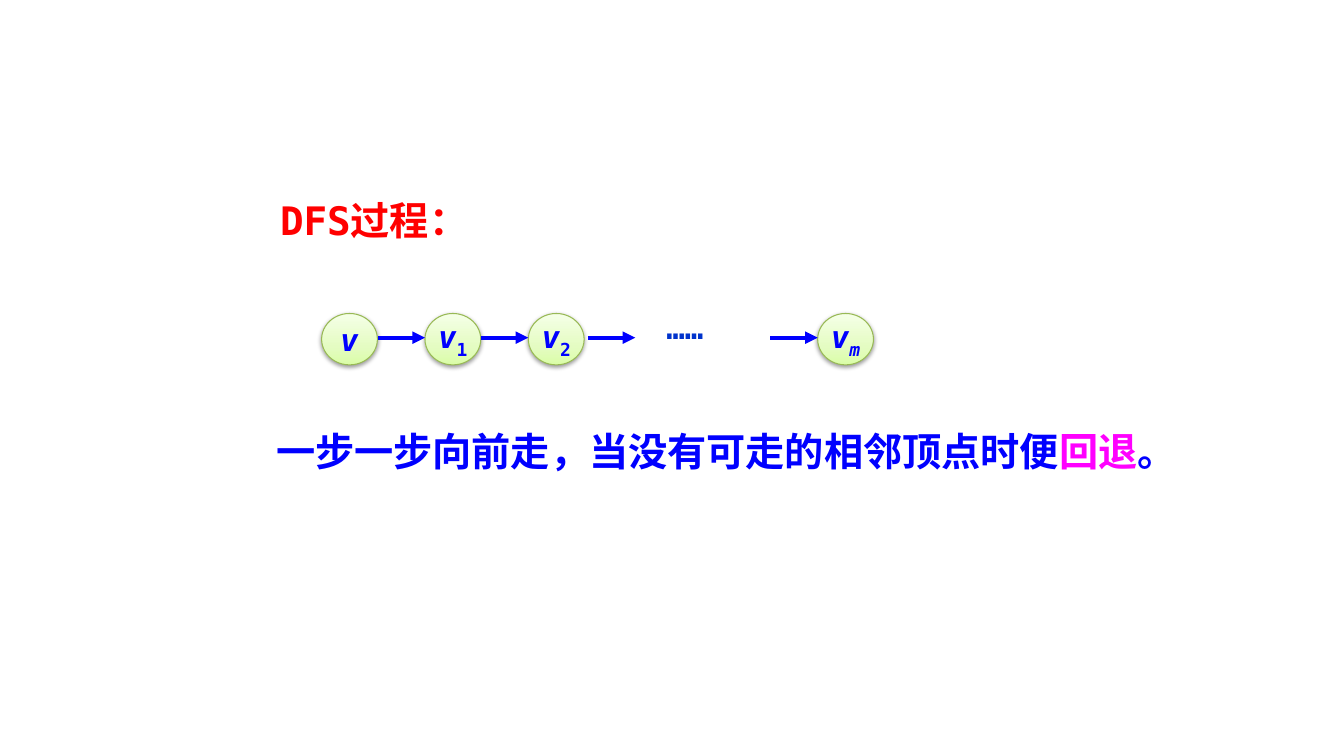
from dataclasses import dataclass

from lxml.etree import SubElement
from pptx import Presentation
from pptx.dml.color import RGBColor
from pptx.enum.shapes import MSO_CONNECTOR, MSO_SHAPE
from pptx.enum.text import MSO_ANCHOR, MSO_AUTO_SIZE, PP_ALIGN
from pptx.oxml.ns import qn
from pptx.slide import Slide
from pptx.text.text import TextFrame
from pptx.util import Inches, Pt

WIDE, HIGH = Inches(13.33), Inches(7.5)
FONT = "DejaVu Sans Mono"
HUES = {
    "red": "FF0000",
    "blue": "0000FF",
    "navy": "0033CC",
    "pink": "FF00FF",
    "rim": "98B955",
    "shade": "000000",
}
GLOW = ((0, "DAFDA7"), (35, "E4FCC2"), (100, "F5FFE7"))

NODE_TOP, NODE_WIDE, NODE_HIGH = 41.47, 4.15, 6.8
FIRST, STEP, LAST = 23.93, 7.69, 60.84
LINE_ROW, LINE_LONG, LOOSE = 44.67, 3.53, 43.74


@dataclass(frozen=True)
class Word:
    text: str
    hue: str = "blue"
    slant: bool = False
    drop: bool = False


@dataclass(frozen=True)
class Note:
    col: float
    row: float
    wide: float
    high: float
    size: int
    words: tuple[Word, ...]


@dataclass(frozen=True)
class Node:
    col: float
    words: tuple[Word, ...]


V = Word("v", slant=True)
NODES = (
    Node(FIRST, (V,)),
    Node(FIRST + STEP, (V, Word("1", drop=True))),
    Node(FIRST + 2 * STEP, (V, Word("2", drop=True))),
    Node(LAST, (V, Word("m", slant=True, drop=True))),
)
NOTES = (
    Note(20.1, 25.33, 15.9, 7.6, 28, (Word("DFS过程：", "red"),)),
    Note(48.84, 40.13, 7.05, 6.27, 22, (Word("……", "navy"),)),
    Note(19.8, 55.87, 68.19, 7.6, 28, (
        Word("一步一步向前走，当没有可走的相邻顶点时便"),
        Word("回退", "pink"),
        Word("。"),
    )),
)


def across(share: float) -> int:
    return round(WIDE * share / 100)


def down(share: float) -> int:
    return round(HIGH * share / 100)


def tint(name: str) -> RGBColor:
    return RGBColor.from_string(HUES[name])


def write(frame: TextFrame, words: tuple[Word, ...], size: int) -> None:
    line = frame.paragraphs[0]
    for word in words:
        run = line.add_run()
        run.text = word.text
        font = run.font
        font.name, font.size = FONT, Pt(size)
        font.bold, font.italic = True, word.slant
        font.color.rgb = tint(word.hue)
        if word.drop:
            run._r.get_or_add_rPr().set("baseline", "-25000")


def draw_note(slide: Slide, note: Note) -> None:
    box = slide.shapes.add_textbox(
        across(note.col), down(note.row), across(note.wide), down(note.high))
    frame = box.text_frame
    frame.word_wrap = True
    frame.auto_size = MSO_AUTO_SIZE.SHAPE_TO_FIT_TEXT
    write(frame, note.words, note.size)


def draw_node(slide: Slide, node: Node) -> None:
    disc = slide.shapes.add_shape(
        MSO_SHAPE.OVAL, across(node.col), down(NODE_TOP),
        across(NODE_WIDE), down(NODE_HIGH))
    disc.fill.gradient()
    disc.fill.gradient_angle = 90
    props = disc._element.spPr
    stops = props.find(qn("a:gradFill")).find(qn("a:gsLst"))
    for old in list(stops):
        stops.remove(old)
    for place, code in GLOW:
        stop = SubElement(stops, qn("a:gs"), pos=str(place * 1000))
        SubElement(stop, qn("a:srgbClr"), val=code)
    disc.line.color.rgb = tint("rim")
    disc.line.width = Pt(0.75)
    disc.shadow.inherit = False
    shade = SubElement(
        props.find(qn("a:effectLst")), qn("a:outerShdw"),
        blurRad=str(int(Pt(3.1))), dist=str(int(Pt(1.6))),
        dir="5400000", rotWithShape="0")
    ink = SubElement(shade, qn("a:srgbClr"), val=HUES["shade"])
    SubElement(ink, qn("a:alpha"), val="38000")
    frame = disc.text_frame
    frame.word_wrap = False
    frame.vertical_anchor = MSO_ANCHOR.MIDDLE
    frame.paragraphs[0].alignment = PP_ALIGN.CENTER
    write(frame, node.words, 22)


def draw_arrow(slide: Slide, start: float) -> None:
    row = down(LINE_ROW)
    arrow = slide.shapes.add_connector(
        MSO_CONNECTOR.STRAIGHT, across(start), row, across(start + LINE_LONG), row)
    arrow.line.color.rgb = tint("blue")
    arrow.line.width = Pt(3)
    props = arrow._element.spPr
    SubElement(props.find(qn("a:ln")), qn("a:tailEnd"), type="triangle")
    SubElement(props, qn("a:effectLst"))


def main() -> None:
    deck = Presentation()
    deck.slide_width, deck.slide_height = WIDE, HIGH
    slide = deck.slides.add_slide(deck.slide_layouts[6])
    for node in NODES:
        draw_node(slide, node)
    for start in (*(node.col - LINE_LONG for node in NODES[1:]), LOOSE):
        draw_arrow(slide, start)
    for note in NOTES:
        draw_note(slide, note)
    deck.save("out.pptx")


if __name__ == "__main__":
    main()
